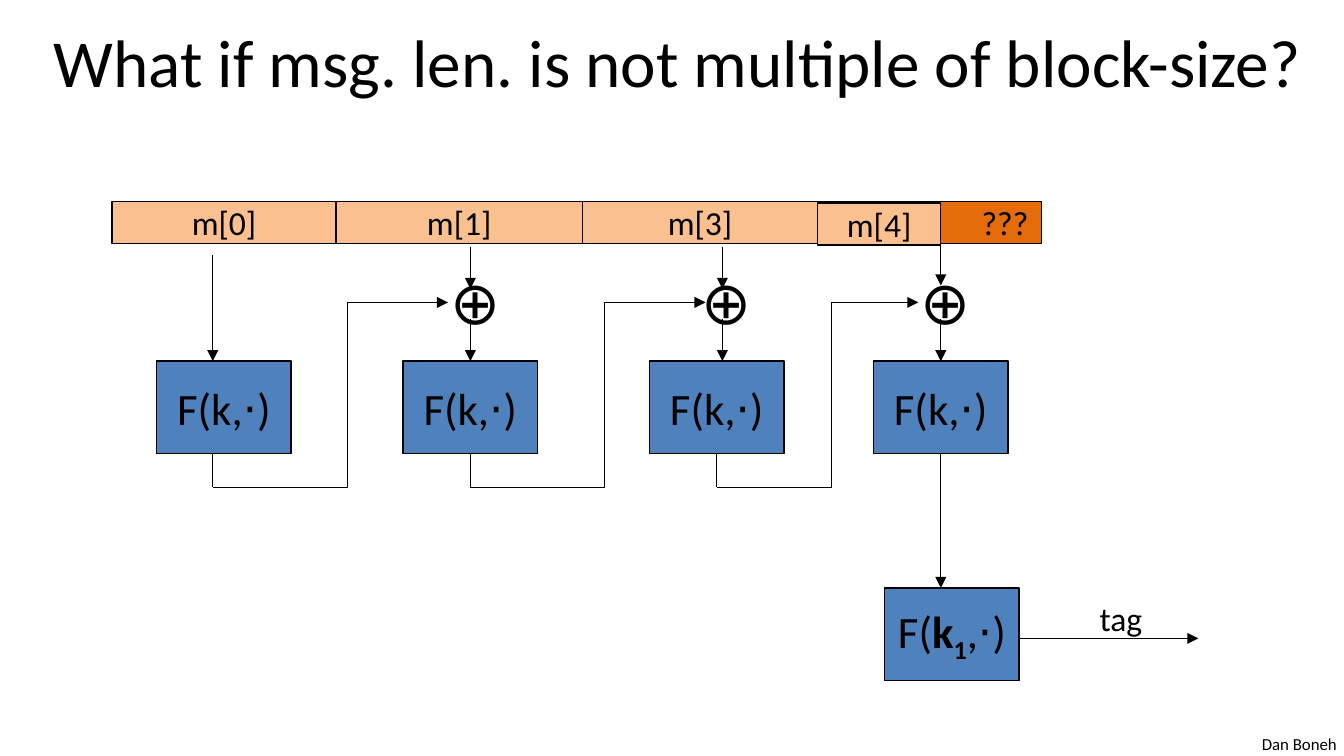
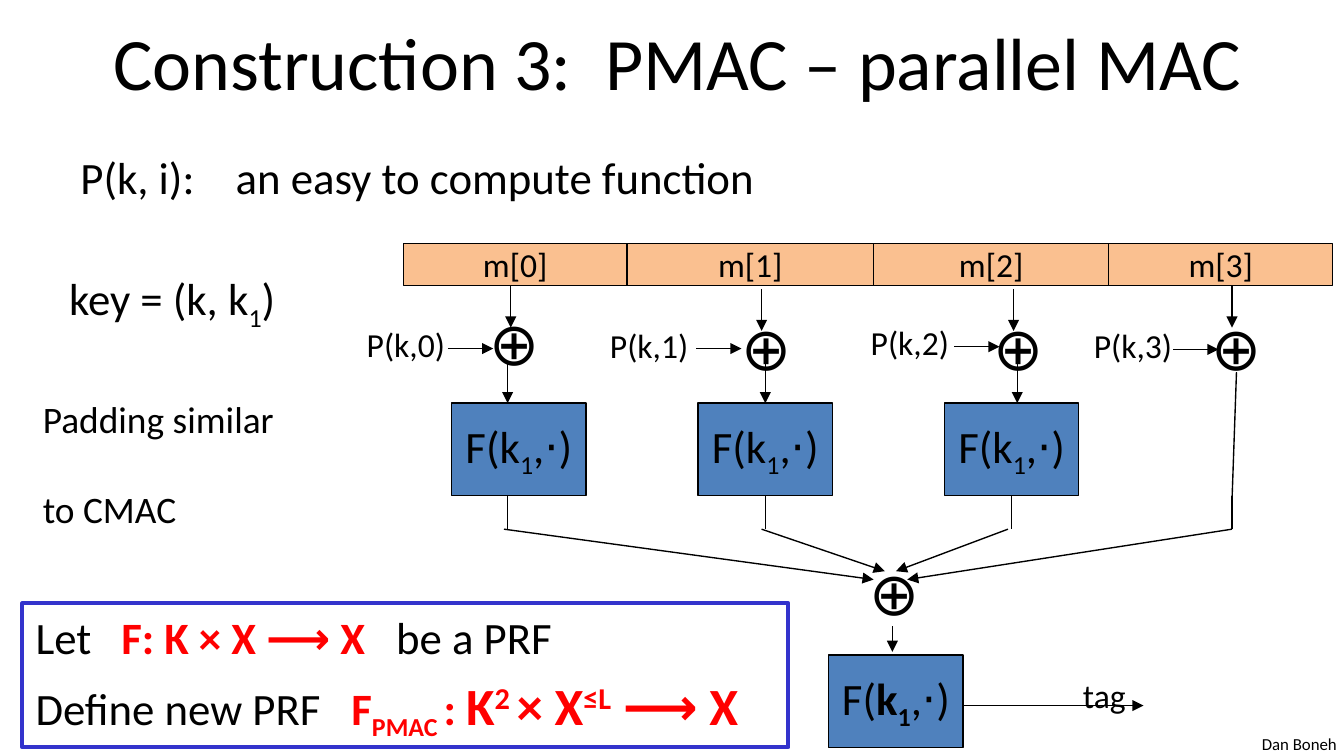
from dataclasses import dataclass
from typing import NamedTuple

from lxml.etree import SubElement
from pptx import Presentation
from pptx.dml.color import RGBColor
from pptx.enum.shapes import MSO_CONNECTOR, MSO_SHAPE
from pptx.enum.text import MSO_ANCHOR, MSO_AUTO_SIZE, PP_ALIGN
from pptx.oxml.ns import qn
from pptx.util import Inches, Pt

COLORS = {
    "ink": "000000",
    "paper": "FFFFFF",
    "cipher": "4F81BD",
    "message": "FAC090",
    "missing": "E46C0A",
    "frame": "3333CC",
    "accent": "FF0000",
}
FONT = "Calibri"
WIDTH, HEIGHT = Inches(10), Inches(5.625)
COLS, ROWS = 120, 90
CIPHER_W, CIPHER_H, MESSAGE_H = 12, 11, 5
TITLE_ONLY = 5


class Run(NamedTuple):
    text: str
    bold: bool = False
    color: str = "ink"
    size: float | None = None
    base: int = 0


class Para(NamedTuple):
    runs: list[Run]
    tabs: tuple[float, ...] = ()
    before: float = 0


@dataclass
class Box:
    col: float
    row: float
    width: float
    height: float
    label: str | list[Para]
    fill: str
    size: float = 18
    align: PP_ALIGN = PP_ALIGN.CENTER


class Line(NamedTuple):
    col1: float
    row1: float
    col2: float
    row2: float
    head: bool = True


class Label(NamedTuple):
    col: float
    row: float
    width: float
    height: float
    text: str | list[Para]
    size: float = 18


PLAIN_KEY = [Para([Run("F(k"), Run("1", base=-25), Run(",⋅)")])]
BOLD_KEY = [Para([Run("F("), Run("k", True), Run("1", True, base=-25), Run(",⋅)")])]


def x(col: float) -> int:
    return round(WIDTH * col / COLS)


def y(row: float) -> int:
    return round(HEIGHT * row / ROWS)


def rgb(name: str) -> RGBColor:
    return RGBColor.from_string(COLORS[name])


def write(sp, text, *, size=18, align=PP_ALIGN.LEFT, anchor=MSO_ANCHOR.TOP,
          wrap=False, grow=False) -> None:
    """Fill a shape with a string or a list of Para."""
    tf = sp.text_frame
    tf.word_wrap = wrap
    tf.auto_size = MSO_AUTO_SIZE.SHAPE_TO_FIT_TEXT if grow else MSO_AUTO_SIZE.NONE
    tf.vertical_anchor = anchor
    paras = [Para([Run(text)])] if isinstance(text, str) else text
    for i, para in enumerate(paras):
        p = tf.add_paragraph() if i else tf.paragraphs[0]
        p.alignment = align
        if para.tabs:
            stops = SubElement(p._p.get_or_add_pPr(), qn("a:tabLst"))
            for stop in para.tabs:
                SubElement(stops, qn("a:tab"), pos=str(x(stop)), algn="l")
        if para.before:
            p.space_before = Pt(para.before)
        for run in para.runs:
            r = p.add_run()
            r.text = run.text
            r.font.name = FONT
            r.font.size = Pt(run.size or size)
            r.font.bold = run.bold
            r.font.color.rgb = rgb(run.color)
            if run.base:
                r._r.get_or_add_rPr().set("baseline", str(run.base * 1000))


def outline(sp, color: str = "ink", width: float = 0.75, head: bool = False) -> None:
    sp.line.color.rgb = rgb(color)
    sp.line.width = Pt(width)
    if head:
        SubElement(sp.line._get_or_add_ln(), qn("a:tailEnd"), type="triangle")


def draw_label(s, label: Label, wrap: bool = False) -> None:
    sp = s.shapes.add_textbox(x(label.col), y(label.row), x(label.width), y(label.height))
    write(sp, label.text, size=label.size, wrap=wrap, grow=not wrap)


def draw_box(s, box: Box):
    sp = s.shapes.add_shape(MSO_SHAPE.RECTANGLE, x(box.col), y(box.row),
                            x(box.width), y(box.height))
    sp.shadow.inherit = False
    sp.fill.solid()
    sp.fill.fore_color.rgb = rgb(box.fill)
    outline(sp)
    write(sp, box.label, size=box.size, align=box.align, anchor=MSO_ANCHOR.MIDDLE)
    return sp


def find_site(sp, px: int, py: int) -> int | None:
    """Return the side of sp whose middle lies at the point, if any."""
    mid_x, mid_y = sp.left + sp.width // 2, sp.top + sp.height // 2
    sites = [(mid_x, sp.top), (sp.left, mid_y),
             (mid_x, sp.top + sp.height), (sp.left + sp.width, mid_y)]
    near = Inches(0.01)
    return next((i for i, (sx, sy) in enumerate(sites)
                 if abs(sx - px) < near and abs(sy - py) < near), None)


def draw_line(s, line: Line, boxes: list) -> None:
    """Draw a line, joined to any box side whose middle it touches."""
    start, end = (x(line.col1), y(line.row1)), (x(line.col2), y(line.row2))
    sp = s.shapes.add_connector(MSO_CONNECTOR.STRAIGHT, *start, *end)
    outline(sp, head=line.head)
    SubElement(sp._element.spPr, qn("a:effectLst"))
    for box in boxes:
        for point, join in ((start, sp.begin_connect), (end, sp.end_connect)):
            site = find_site(box, *point)
            if site is not None:
                join(box, site)


def draw_feedback(s, start: float, turn: float, end: float) -> None:
    """Draw the stepped arrow from a cipher's output to the next XOR."""
    low, high = 58, 36
    builder = s.shapes.build_freeform(x(start), y(low))
    builder.add_line_segments([(x(turn), y(low)), (x(turn), y(high)), (x(end), y(high))],
                              close=False)
    sp = builder.convert_to_shape()
    sp.shadow.inherit = False
    sp.fill.background()
    outline(sp, head=True)


def draw_xor(s, col: float, row: float) -> None:
    draw_label(s, Label(col, row, 6.6, 10.24, "⊕", 32))


def message(col: float, width: float, label: str, row: float, **kw) -> Box:
    return Box(col, row, width, MESSAGE_H, label, kw.pop("fill", "message"), **kw)


def cipher(col: float, row: float, label) -> Box:
    return Box(col, row, CIPHER_W, CIPHER_H, label, "cipher", 24)


def new_slide(prs, title: str, col: float, size: float):
    s = prs.slides.add_slide(prs.slide_layouts[TITLE_ONLY])
    s.background.fill.solid()
    s.background.fill.fore_color.rgb = rgb("paper")
    sp = s.shapes.title
    sp.left, sp.top, sp.width, sp.height = x(col), y(-0.3), x(COLS + 1 - 2 * col), y(15)
    write(sp, title, size=size, align=PP_ALIGN.CENTER, anchor=MSO_ANCHOR.MIDDLE, wrap=True)
    draw_label(s, Label(111.48, 86.56, 9.12, 4, "Dan Boneh", 9))
    return s


def build_short_block(prs) -> None:
    s = new_slide(prs, "What if msg. len. is not multiple of block-size?", 2, 36)
    row = 24
    boxes = [cipher(col, 43, "F(k,⋅)") for col in (14, 36, 58, 78)]
    boxes += [
        message(10, 20, "m[0]", row),
        message(30, 22, "m[1]", row),
        message(52, 21, "m[3]", row),
        message(73, 20, "???", row, fill="missing", align=PP_ALIGN.RIGHT),
        message(73, 11, "m[4]", row + 0.16),
        cipher(79, 70, BOLD_KEY),
    ]
    shapes = [draw_box(s, box) for box in boxes]
    for col in (39, 61.44, 81):
        draw_xor(s, col, 30.72)
    lines = [Line(19, 30.4, 19, 43), Line(84, 29, 84, 34),
             Line(84, 54, 84, 70), Line(91, 76, 107, 76)]
    lines += [Line(col, 29.44, col, 34.4) for col in (42, 64.5)]
    lines += [Line(col, 38, col, 43) for col in (42, 64.5, 84)]
    lines += [Line(col, 54, col, 58, head=False) for col in (19, 42, 64)]
    for line in lines:
        draw_line(s, line, shapes)
    for start, turn, end in ((19, 31, 40), (42, 54, 63), (64, 74.25, 82)):
        draw_feedback(s, start, turn, end)
    draw_label(s, Label(97, 70.4, 6.36, 6.4, "tag"))


def draw_definition(s) -> None:
    sp = s.shapes.add_shape(MSO_SHAPE.RECTANGLE, x(2), y(71.84), x(68.4), y(17.12))
    sp.shadow.inherit = False
    sp.fill.background()
    outline(sp, "frame", 2.25)

    def red(text: str, size: float = 24, base: int = 0) -> Run:
        return Run(text, True, "accent", size, base)

    write(sp, [
        Para([Run("Let\t"), red("F: K × X ⟶ X"), Run("\tbe a PRF")], (7.66, 32.2)),
        Para([Run("Define new PRF\t"), red("F"), red("PMAC ", base=-25), red(": "),
              red("K", 28), red("2 ", 28, 30), red("× X", 28), red("≤L", 28, 30),
              red(" ⟶ X", 28)], (28.2,), before=5),
    ], size=24, wrap=True)


def build_pmac(prs) -> None:
    s = new_slide(prs, "Construction 3:  PMAC – parallel MAC", 6, 39.6)
    intro = [Para([Run("P(k, i):\tan easy to compute function")], (13.87,))]
    draw_label(s, Label(6, 17, 108, 14.7, intro, 24), wrap=True)

    boxes = [message(col, width, f"m[{i}]", 29)
             for i, (col, width) in enumerate(((36, 20), (56, 22), (78, 21), (99, 20)))]
    boxes += [cipher(40.33 + 22 * i, 48, PLAIN_KEY) for i in range(3)]
    boxes.append(cipher(74, 78, BOLD_KEY))
    shapes = [draw_box(s, box) for box in boxes]

    for col, row in ((42.5, 35.68), (65, 36.16), (87.5, 36.16), (107, 36.16), (76.44, 65.44)):
        draw_xor(s, col, row)

    lines = [Line(col, row, col, row + 5)
             for col, row in ((45.6, 34), (68, 34.4), (90.5, 34.4), (110, 34))]
    lines += [Line(col, 43, col, 48) for col in (45.33, 68.33, 90.83)]
    lines += [Line(col, 59, col, 63, head=False) for col in (45.33, 68.33, 90.33, 110)]
    lines += [Line(start, 63, end, row) for start, end, row in
              ((45, 78, 69), (68, 79, 68), (90, 80, 68), (110, 81, 69))]
    lines += [
        Line(110.4, 44.32, 110, 59.68, head=False),
        Line(79.68, 74.56, 79.68, 77.6),
        Line(86, 84, 102.1, 84),
    ]
    masks = ((31.56, 37.76, 40, 41.5), (53.28, 37.92, 62.16, 41.5),
             (76.56, 37.6, 85.2, 41.28), (96.48, 37.92, 104.76, 41.6))
    for i, (col, row, start, level) in enumerate(masks):
        draw_label(s, Label(col, row, 9.48, 6.4, f"P(k,{i})"))
        lines.append(Line(start, level, start + 4.04, level))
    for line in lines:
        draw_line(s, line, shapes)

    draw_label(s, Label(95.52, 79.52, 6.36, 6.4, "tag"))
    draw_definition(s)
    padding = [Para([Run("Padding similar")]), Para([Run("to CMAC")], before=24)]
    draw_label(s, Label(2.64, 46.4, 23.28, 17.6, padding, 20))
    key = [Para([Run("key = (k, k"), Run("1", base=-25), Run(")")])]
    draw_label(s, Label(5, 31.5, 21.12, 8, key, 24))


def main() -> None:
    prs = Presentation()
    prs.slide_width, prs.slide_height = WIDTH, HEIGHT
    build_short_block(prs)
    build_pmac(prs)
    prs.save("out.pptx")


if __name__ == "__main__":
    main()
